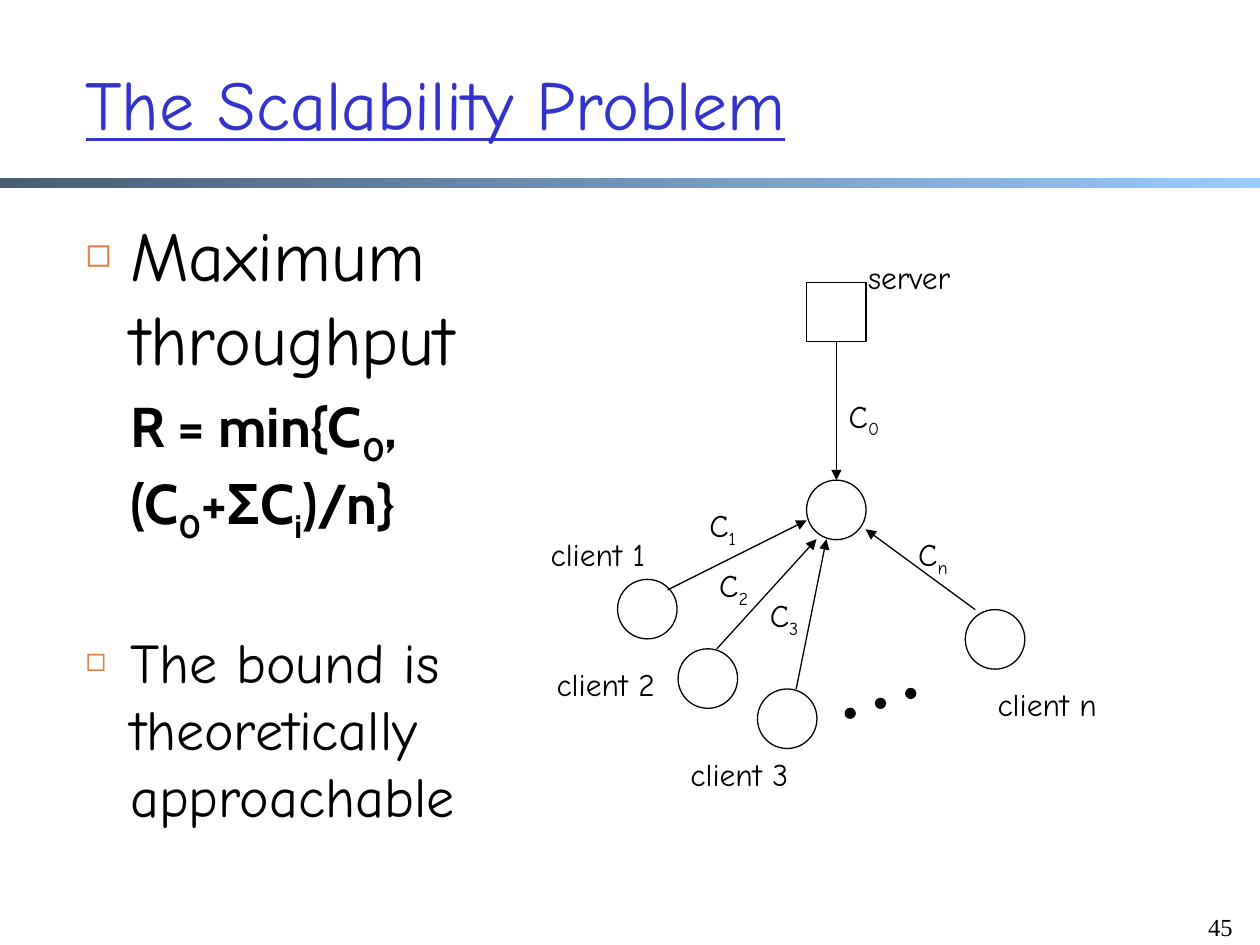
import pptx
import pptx.util
import pptx.dml.color
import pptx.enum.dml
import pptx.enum.shapes
import pptx.enum.text
import pptx.oxml.ns
from lxml import etree
from pptx.util import Cm, Pt

COLORS = {
    "ink": "000000",
    "title": "3333CC",
    "bullet": "DD8047",
    "bar_start": "475E76",
    "bar_end": "99CCFF",
}
HAND = "Comic Neue"
FORMULA = "Cabin"
NODE = 1.2
DOT = 0.2
SHAPES = pptx.enum.shapes.MSO_SHAPE


def rgb(name):
    return pptx.dml.color.RGBColor.from_string(COLORS[name])


def add_xml(parent, tag, **attributes):
    return etree.SubElement(parent, pptx.oxml.ns.qn(tag), attributes)


def style(paragraph, size, face=HAND, color="ink", bold=False):
    font = paragraph.font
    font.name, font.size, font.bold = face, Pt(size), bold
    font.color.rgb = rgb(color)


def add_runs(paragraph, pieces):
    for text, lowered in pieces:
        run = paragraph.add_run()
        run.text = text
        if lowered:
            run.font._element.set("baseline", "-25000")


def place(shape, left, top, width, height):
    shape.left, shape.top = Cm(left), Cm(top)
    shape.width, shape.height = Cm(width), Cm(height)


def indent(paragraph, bulleted):
    properties = paragraph._p.get_or_add_pPr()
    properties.set("marL", str(Cm(0.9)))
    properties.set("indent", str(Cm(-0.9) if bulleted else 0))
    if bulleted:
        bullet_color = add_xml(properties, "a:buClr")
        add_xml(bullet_color, "a:srgbClr", val=COLORS["bullet"])
        add_xml(properties, "a:buSzPct", val="60000")
        add_xml(properties, "a:buChar", char="◻")
    else:
        add_xml(properties, "a:buNone")


def add_bar(slide):
    bar = slide.shapes.add_shape(SHAPES.RECTANGLE, 0, Cm(3.58), Cm(25.4), Cm(0.21))
    bar.shadow.inherit = False
    bar.line.fill.background()
    bar.fill.gradient()
    bar.fill.gradient_angle = 0
    for stop, name in zip(bar.fill.gradient_stops, ("bar_start", "bar_end")):
        stop.color.rgb = rgb(name)


def fill_title(slide):
    title = slide.shapes.title
    place(title, 1.47, 0.48, 21.6, 3.18)
    frame = title.text_frame
    frame.text = "The Scalability Problem"
    frame.auto_size = pptx.enum.text.MSO_AUTO_SIZE.NONE
    frame.vertical_anchor = pptx.enum.text.MSO_ANCHOR.MIDDLE
    heading = frame.paragraphs[0]
    heading.alignment = pptx.enum.text.PP_ALIGN.LEFT
    style(heading, 40, color="title")
    heading.font.underline = True


def fill_body(slide):
    body = slide.placeholders[1]
    place(body, 1.47, 4.14, 9.17, 12.9)
    frame = body.text_frame
    frame.auto_size = pptx.enum.text.MSO_AUTO_SIZE.NONE
    throughput = frame.paragraphs[0]
    formula, bound = frame.add_paragraph(), frame.add_paragraph()

    for paragraph, bulleted, before in (
        (throughput, True, 0), (formula, False, 7), (bound, True, 47),
    ):
        indent(paragraph, bulleted)
        paragraph.space_before = Pt(before)

    add_runs(throughput, [("Maximum throughput", False)])
    add_runs(formula, [
        ("R = min{C", False), ("0", True), (", (C", False), ("0", True),
        ("+ΣC", False), ("i", True), (")/n}", False),
    ])
    add_runs(bound, [("The bound is theoretically approachable", False)])
    style(throughput, 40)
    style(formula, 32, face=FORMULA, bold=True)
    style(bound, 32)


def add_node(slide, kind, left, top, size=NODE, filled=False):
    node = slide.shapes.add_shape(kind, Cm(left), Cm(top), Cm(size), Cm(size))
    node.shadow.inherit = False
    node.line.color.rgb = rgb("ink")
    node.line.width = Pt(0.75)
    if filled:
        node.fill.solid()
        node.fill.fore_color.rgb = rgb("ink")
    else:
        node.fill.background()


def add_arrow(slide, start, end):
    arrow = slide.shapes.add_connector(
        pptx.enum.shapes.MSO_CONNECTOR.STRAIGHT, *map(Cm, start + end))
    arrow.line.color.rgb = rgb("ink")
    arrow.line.width = Pt(0.75)
    add_xml(arrow.line._get_or_add_ln(), "a:tailEnd", type="triangle")
    add_xml(arrow._element.spPr, "a:effectLst")


def add_label(slide, text, left, top, width, subscript="", size=18, face=HAND):
    box = slide.shapes.add_textbox(Cm(left), Cm(top), Cm(width), Cm(1.02))
    box.text_frame.word_wrap = True
    label = box.text_frame.paragraphs[0]
    add_runs(label, [(text, False)] + ([(subscript, True)] if subscript else []))
    style(label, size, face)
    return label


def add_network(slide):
    add_node(slide, SHAPES.RECTANGLE, 16.26, 5.69)
    add_label(slide, "server", 17.25, 5.08, 3.4)

    hub_and_clients = [(16.26, 9.68), (12.45, 11.68), (13.67, 13.08),
                       (15.27, 13.89), (19.46, 12.29)]
    for left, top in hub_and_clients:
        add_node(slide, SHAPES.OVAL, left, top)

    links = [
        ("0", (16.86, 6.88), (16.86, 9.68), (16.86, 7.87)),
        ("1", (13.46, 11.89), (16.26, 10.49), (14.05, 10.08)),
        ("2", (14.45, 13.08), (16.46, 10.87), (14.25, 11.28)),
        ("3", (16.05, 13.89), (16.66, 10.87), (15.27, 11.89)),
        ("n", (19.66, 12.29), (17.45, 10.67), (18.26, 10.67)),
    ]
    for index, start, end, (left, top) in links:
        add_arrow(slide, start, end)
        add_label(slide, "C", left, top, 1.8, subscript=index)

    client_labels = {"1": (10.85, 10.67), "2": (10.97, 13.28),
                     "3": (13.67, 15.09), "n": (19.86, 13.69)}
    for index, (left, top) in client_labels.items():
        add_label(slide, f"client {index}", left, top, 2.8)

    for step in range(3):
        add_node(slide, SHAPES.OVAL, 17.04 + 0.61 * step, 14.28 - 0.2 * step,
                 size=DOT, filled=True)


def main():
    deck = pptx.Presentation()
    deck.slide_width, deck.slide_height = Cm(25.4), Cm(19.05)
    slide = deck.slides.add_slide(deck.slide_layouts[1])
    add_bar(slide)
    fill_title(slide)
    fill_body(slide)
    page_number = add_label(slide, "45", 23.83, 18.26, 1.27, size=14,
                            face="Times New Roman")
    page_number.alignment = pptx.enum.text.PP_ALIGN.RIGHT
    add_network(slide)
    deck.save("out.pptx")


if __name__ == "__main__":
    main()
